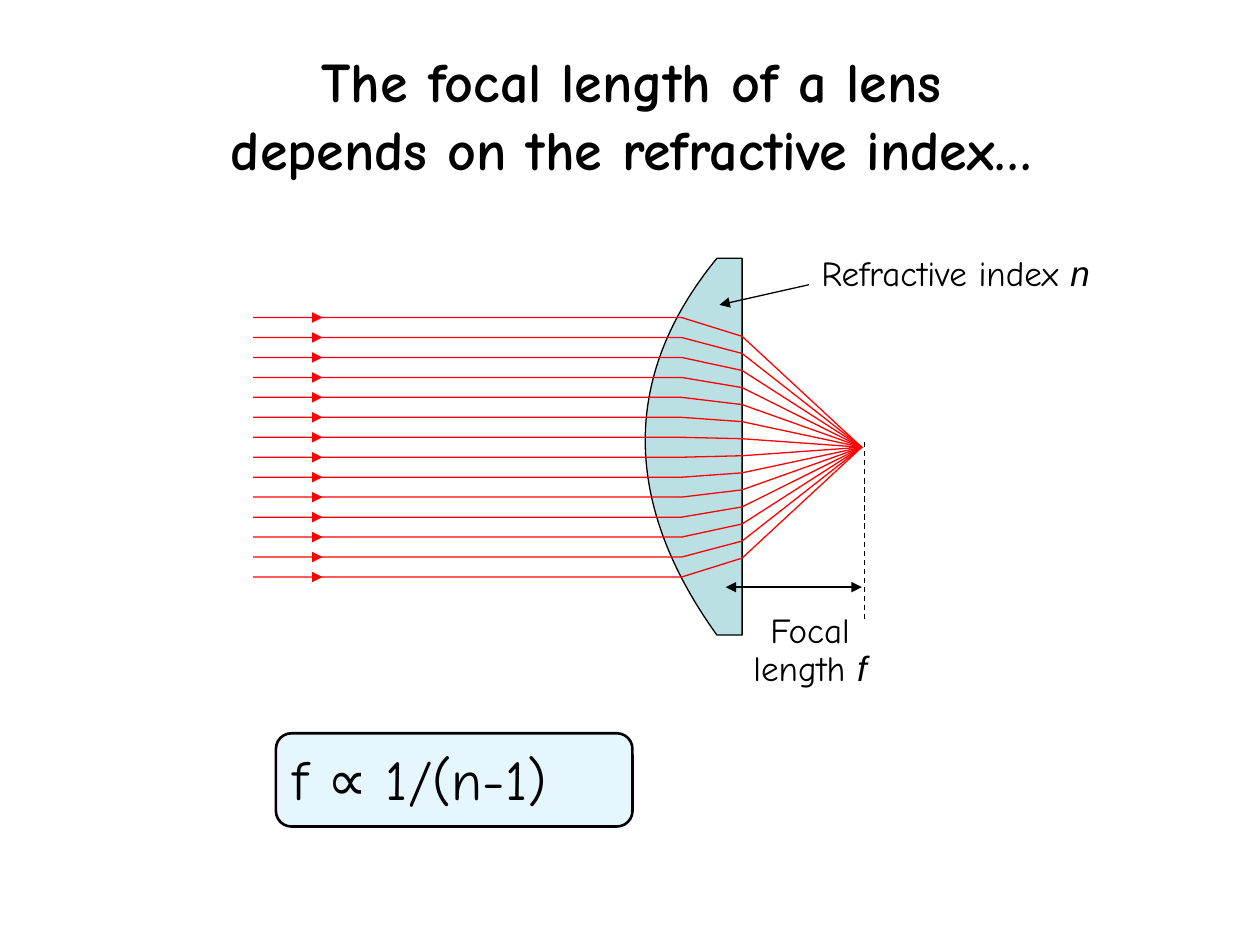
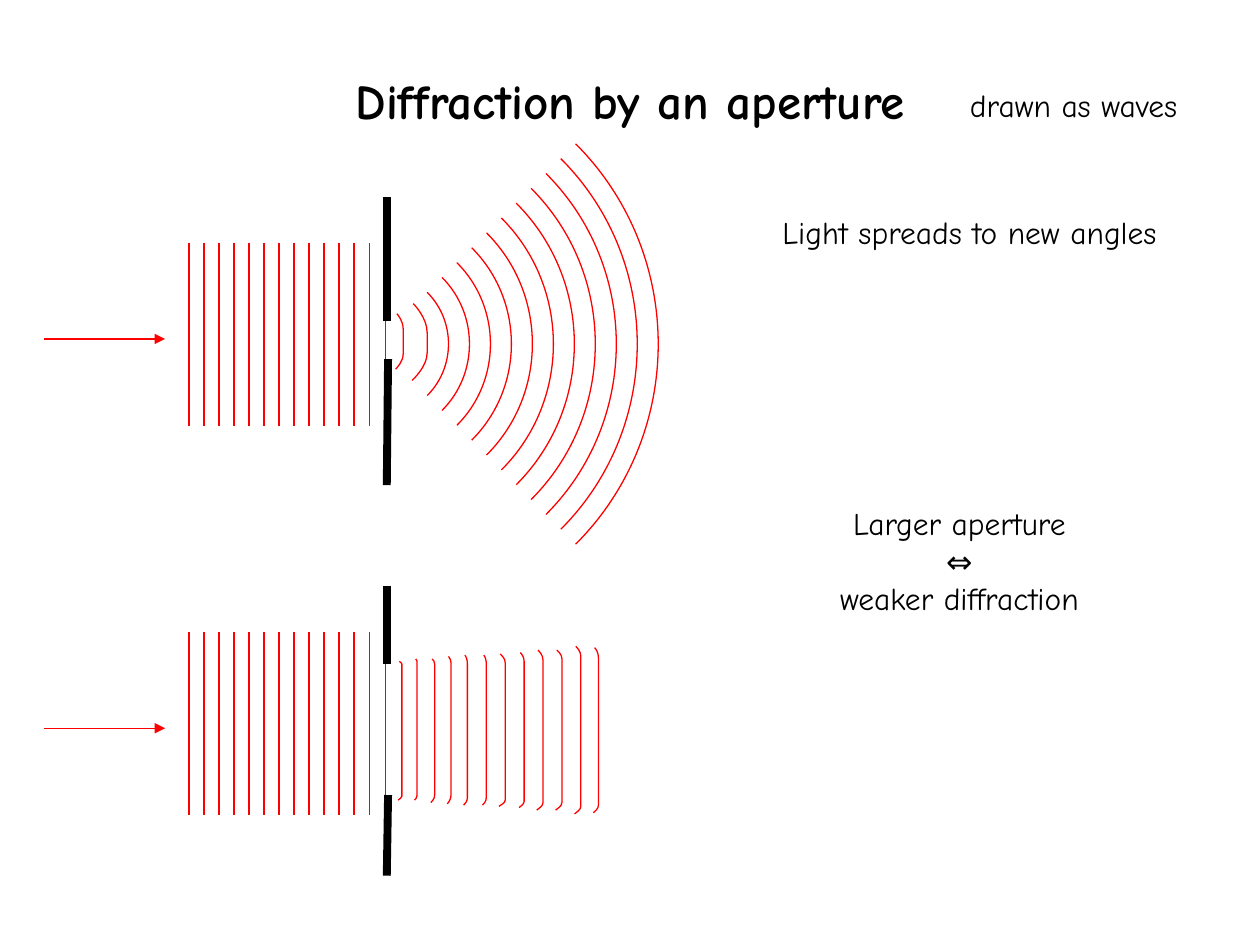
"""Build two optics slides: focal length of a lens and diffraction by an aperture."""
from dataclasses import dataclass
from math import sqrt

from lxml.etree import SubElement
from pptx import Presentation
from pptx.dml.color import RGBColor
from pptx.enum.dml import MSO_LINE
from pptx.enum.shapes import MSO_CONNECTOR, MSO_SHAPE
from pptx.enum.text import MSO_ANCHOR, PP_ALIGN
from pptx.oxml.ns import qn
from pptx.util import Pt

PX = 9144


@dataclass(frozen=True)
class Theme:
    ink: RGBColor = RGBColor(0x00, 0x00, 0x00)
    light: RGBColor = RGBColor(0xFF, 0x00, 0x00)
    glass: RGBColor = RGBColor(0xBB, 0xE0, 0xE3)
    panel: RGBColor = RGBColor(0xE6, 0xF6, 0xFF)
    font: str = "Comic Neue"
    variable_font: str = "Arial"
    large: int = 32
    title: int = 28
    label: int = 20
    note: int = 18
    thin: float = 0.75
    frame: float = 1.5
    barrier: float = 4.5


theme = Theme()


def draw_line(slide, start, end, color, width=theme.thin, arrows=(), dash=None):
    ends = [round(value * PX) for value in (*start, *end)]
    connector = slide.shapes.add_connector(MSO_CONNECTOR.STRAIGHT, *ends)
    connector.line.color.rgb = color
    connector.line.width = Pt(width)
    if dash:
        connector.line.dash_style = dash
    properties = connector.element.spPr
    for arrow in arrows:
        SubElement(properties.find(qn("a:ln")), qn(f"a:{arrow}"), type="triangle")
    SubElement(properties, qn("a:effectLst"))


def draw_path(slide, start, pieces, color, fill=None):
    """Draw an outline whose pieces hold one point for a line or three for a curve."""
    builder = slide.shapes.build_freeform(start[0] * PX, start[1] * PX, scale=1.0)
    points = [(x * PX, y * PX) for piece in pieces for x, y in piece]
    builder.add_line_segments(points, close=fill is not None)
    shape = builder.convert_to_shape()
    outline = next(shape.element.iter(qn("a:path")))
    segments = iter(outline.findall(qn("a:lnTo")))
    for piece in pieces:
        first, *others = [next(segments) for _ in piece]
        if others:
            first.tag = qn("a:cubicBezTo")
        for other in others:
            first.append(other[0])
            outline.remove(other)
    shape.shadow.inherit = False
    shape.line.color.rgb = color
    shape.line.width = Pt(theme.thin)
    if fill is None:
        shape.fill.background()
    else:
        shape.fill.solid()
        shape.fill.fore_color.rgb = fill
    return shape


presentation = Presentation()
presentation.slide_width = 1000 * PX
presentation.slide_height = 750 * PX
blank = presentation.slide_layouts[6]
lens_slide = presentation.slides.add_slide(blank)
aperture_slide = presentation.slides.add_slide(blank)

lens_pieces = [[(579, 504), (589, 504), (589, 504)], [(589, 205)],
               [(589, 205), (579, 205), (569, 205)], [(478, 316), (510, 422), (569, 504)]]
draw_path(lens_slide, (569, 504), lens_pieces, theme.ink, theme.glass)

axis_y = 355
for pair in range(7):
    share = (13 - 2 * pair) / 13
    entry, leaving = 103 * share, 88 * share
    ray = [(541, axis_y + entry), (589, axis_y + leaving), (684, axis_y),
           (589, axis_y - leaving), (541, axis_y - entry), (201, axis_y - entry)]
    draw_path(lens_slide, (201, axis_y + entry), [[point] for point in ray], theme.light)
    for ray_y in (axis_y - entry, axis_y + entry):
        draw_line(lens_slide, (248, ray_y), (256, ray_y), theme.light, arrows=["tailEnd"])

draw_line(lens_slide, (576, 466), (684, 466), theme.ink, arrows=["headEnd", "tailEnd"])
draw_line(lens_slide, (686, 351), (686, 493), theme.ink, dash=MSO_LINE.DASH)
draw_line(lens_slide, (642, 226), (571, 242), theme.ink, arrows=["tailEnd"])

apertures = [(156, 255, 285, 385), (465, 527, 631, 695)]
for top, slit_top, slit_bottom, bottom in apertures:
    draw_line(aperture_slide, (35, top + 113), (131, top + 113), theme.light, arrows=["tailEnd"])
    for front in range(13):
        front_x = 150 + front * 143 / 12
        draw_line(aperture_slide, (front_x, top + 182), (front_x, top + 37), theme.light)
    draw_line(aperture_slide, (306, slit_bottom), (306, slit_top), theme.light)
    draw_line(aperture_slide, (307, slit_top), (307, top), theme.ink, theme.barrier)
    draw_line(aperture_slide, (307, bottom), (308, slit_bottom), theme.ink, theme.barrier)

for wave in range(11):
    radius = 58 + wave * 50 / 3
    left, top = 298 + radius / sqrt(2) - radius / 2, 273 - radius / 2
    right, bottom = left + radius, top + radius
    quarter = [(left + 0.55 * radius, top), (right, top + 0.45 * radius), (right, bottom)]
    draw_path(aperture_slide, (left, top), [quarter], theme.light).rotation = 45

bent_waves = [
    (315, 249, 320, 261, 281, 293), (328, 241, 339, 264, 280, 302),
    (317, 525, 319, 527, 632, 635), (330, 523, 331, 527, 631, 635),
    (343, 523, 345, 527, 631, 637), (356, 521, 358, 527, 631, 638),
    (369, 520, 371, 527, 633, 639), (384, 520, 386, 527, 633, 639),
    (397, 519, 401, 526, 635, 640), (413, 518, 416, 525, 636, 641),
    (427, 516, 431, 524, 637, 643), (442, 516, 446, 523, 637, 643),
    (457, 513, 461, 521, 640, 646), (472, 514, 475, 522, 639, 645),
]
for tip_x, top, front_x, upper, lower, bottom in bent_waves:
    bends = [
        [(tip_x + 1, top + 1), (front_x, (top + upper) / 2), (front_x, upper)],
        [(front_x, upper + 2), (front_x, lower - 2), (front_x, lower)],
        [(front_x, (lower + bottom) / 2), (tip_x, bottom - 1), (tip_x - 1, bottom)],
    ]
    draw_path(aperture_slide, (tip_x, top), bends, theme.light)

titles = [
    (lens_slide, (75, 18, 853, 145), theme.large, "The focal length of a lens\vdepends on the refractive index…"),
    (aperture_slide, (75, 17, 850, 125), theme.title, "Diffraction by an aperture"),
]
for slide, box, size, text in titles:
    frame = slide.shapes.add_textbox(*(value * PX for value in box)).text_frame
    frame.word_wrap = True
    frame.vertical_anchor = MSO_ANCHOR.MIDDLE
    paragraph = frame.paragraphs[0]
    paragraph.text = text
    paragraph.alignment = PP_ALIGN.CENTER
    paragraph.font.name = theme.font
    paragraph.font.size = Pt(size)
    paragraph.font.bold = True
    paragraph.font.color.rgb = theme.ink

formula = lens_slide.shapes.add_shape(MSO_SHAPE.ROUNDED_RECTANGLE, 219 * PX, 582 * PX, 283 * PX, 74 * PX)
formula.shadow.inherit = False
formula.fill.solid()
formula.fill.fore_color.rgb = theme.panel
formula.line.color.rgb = theme.ink
formula.line.width = Pt(theme.frame)
formula.text_frame.vertical_anchor = MSO_ANCHOR.TOP

labels = [
    (formula, None, theme.large, PP_ALIGN.LEFT, True, ["f ∝ 1/(n-1)"], None),
    (lens_slide, (577, 482, 132, 80), theme.label, PP_ALIGN.CENTER, True, ["Focal length "], "f"),
    (lens_slide, (642, 195, 256, 45), theme.label, PP_ALIGN.LEFT, False, ["Refractive index "], "n"),
    (aperture_slide, (645, 395, 233, 103), theme.note, PP_ALIGN.CENTER, False,
     ["Larger aperture", "⇔", "weaker diffraction"], None),
    (aperture_slide, (598, 164, 343, 42), theme.note, PP_ALIGN.CENTER, False,
     ["Light spreads to new angles"], None),
    (aperture_slide, (760, 63, 200, 42), theme.note, PP_ALIGN.LEFT, False, ["drawn as waves"], None),
]
for holder, box, size, alignment, wrap, lines, variable in labels:
    shape = holder.shapes.add_textbox(*(value * PX for value in box)) if box else holder
    frame = shape.text_frame
    frame.word_wrap = wrap
    for index, text in enumerate(lines):
        paragraph = frame.add_paragraph() if index else frame.paragraphs[0]
        paragraph.text = text
        paragraph.alignment = alignment
        paragraph.font.name = theme.font
        paragraph.font.size = Pt(size)
        paragraph.font.color.rgb = theme.ink
    if variable:
        if wrap:
            paragraph.line_spacing = 0.9
        run = paragraph.add_run()
        run.text = variable
        run.font.name = theme.variable_font
        run.font.italic = True

presentation.save("out.pptx")
